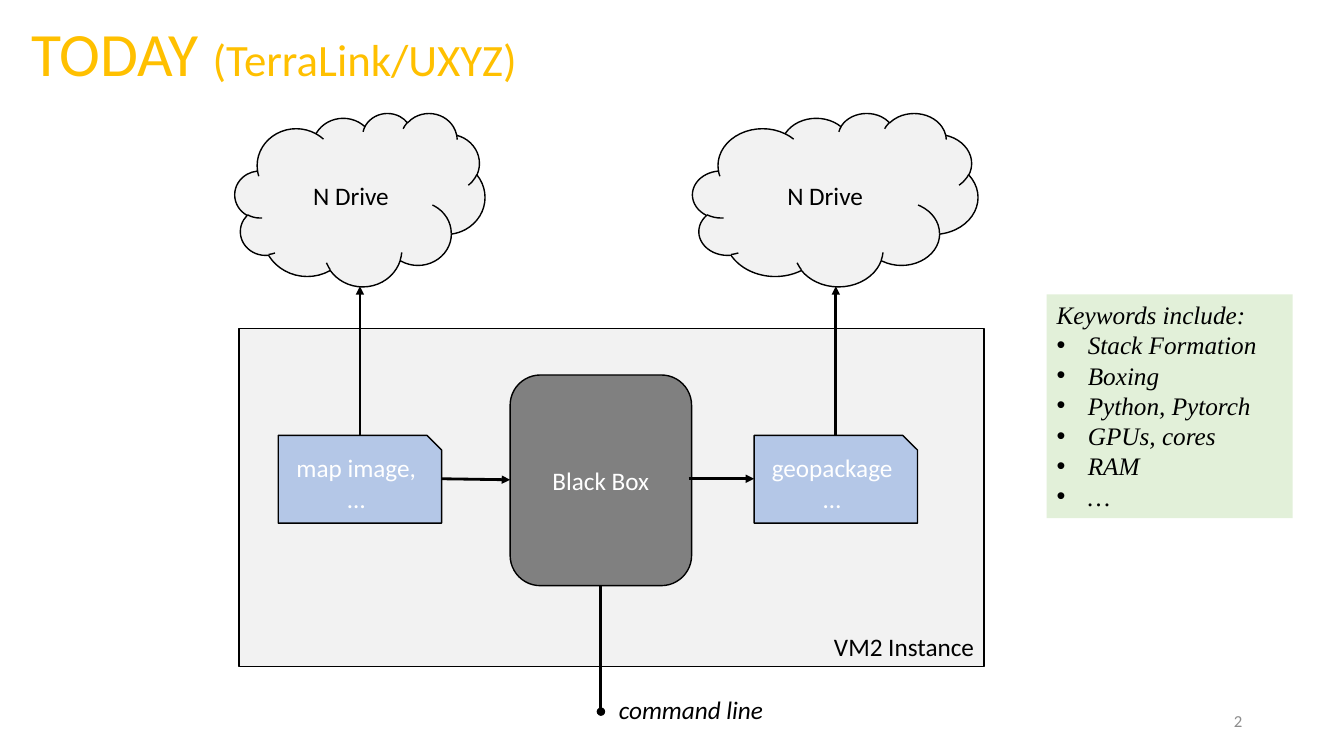
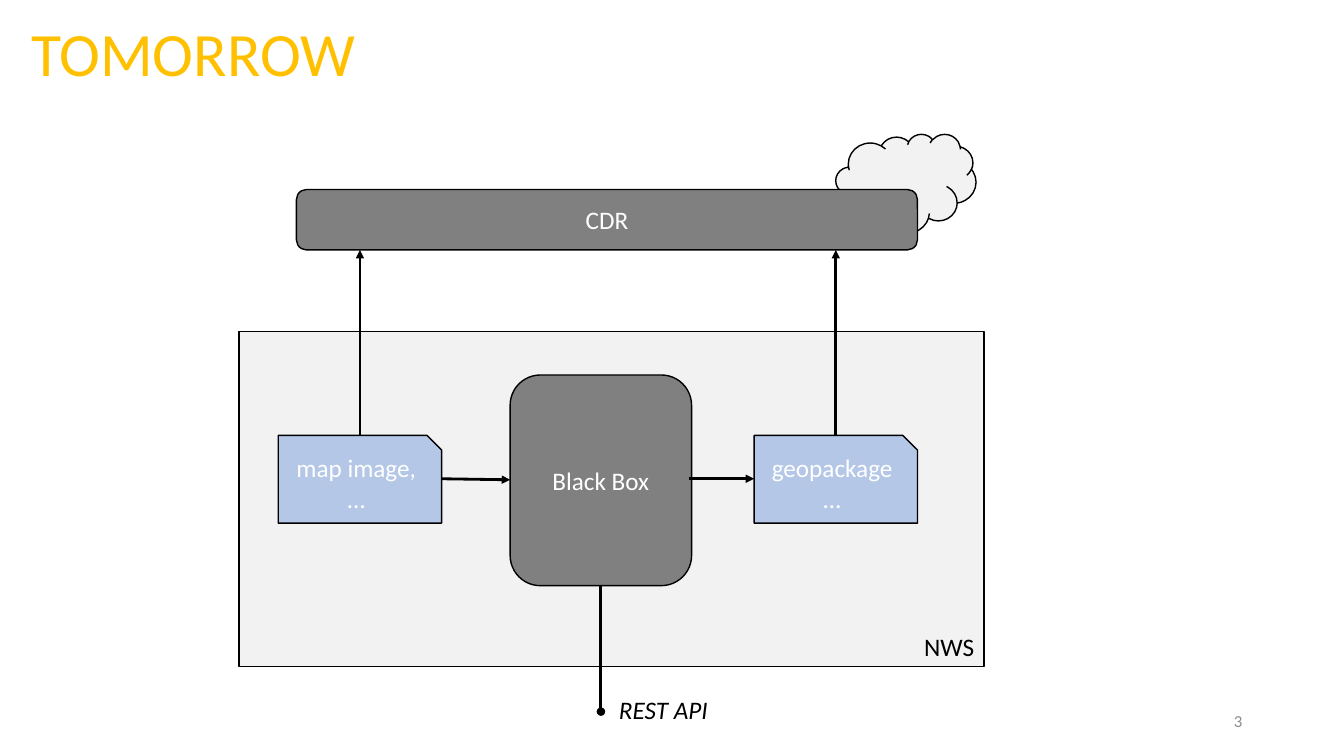
from lxml import etree
from pptx import Presentation
from pptx.dml.color import RGBColor
from pptx.enum.shapes import MSO_CONNECTOR, MSO_SHAPE
from pptx.enum.text import MSO_ANCHOR, MSO_AUTO_SIZE, PP_ALIGN
from pptx.oxml.ns import qn
from pptx.util import Inches, Pt

RECT = MSO_SHAPE.RECTANGLE
ROUND = MSO_SHAPE.ROUNDED_RECTANGLE
SNIP = MSO_SHAPE.SNIP_1_RECTANGLE
CLOUD = MSO_SHAPE.CLOUD
LINE = MSO_CONNECTOR.STRAIGHT
LEFT, MID, RIGHT = PP_ALIGN.LEFT, PP_ALIGN.CENTER, PP_ALIGN.RIGHT
TOP, CENTER, BOTTOM = MSO_ANCHOR.TOP, MSO_ANCHOR.MIDDLE, MSO_ANCHOR.BOTTOM
FIXED = MSO_AUTO_SIZE.NONE

HUES = {
    "ink": "000000",
    "paper": "FFFFFF",
    "pale": "F2F2F2",
    "dark": "808080",
    "blue": "B4C7E7",
    "green": "E2F0D9",
    "gold": "FFC000",
    "mute": "8C8C8C",
}
SANS, SERIF = "Calibri", "Times New Roman"


def hue(name):
    return RGBColor.from_string(HUES[name])


def style(frame, tint, size=18, face=SANS, slant=False, align=LEFT, anchor=TOP):
    frame.auto_size = FIXED
    frame.vertical_anchor = anchor
    for para in frame.paragraphs:
        para.alignment = align
        para.space_before = Pt(0)
        for run in para.runs:
            font = run.font
            font.name, font.size, font.italic = face, Pt(size), slant
            font.color.rgb = hue(tint)


def place(shape, box):
    shape.left, shape.top, shape.width, shape.height = map(Inches, box)


def block(slide, kind, box, fill, text="", tint="ink", align=MID, anchor=CENTER):
    shape = slide.shapes.add_shape(kind, *map(Inches, box))
    shape.shadow.inherit = False
    shape.fill.solid()
    shape.fill.fore_color.rgb = hue(fill)
    shape.line.color.rgb = hue("ink")
    shape.line.width = Pt(1)
    if text:
        shape.text_frame.text = text
        style(shape.text_frame, tint, align=align, anchor=anchor)


def label(slide, box, text, tint, wrap=True, **look):
    shape = slide.shapes.add_textbox(*map(Inches, box))
    shape.text_frame.word_wrap = wrap
    shape.text_frame.text = text
    style(shape.text_frame, tint, **look)


def link(slide, start, end, tip="triangle"):
    line = slide.shapes.add_connector(LINE, *map(Inches, start + end))
    line.line.color.rgb = hue("ink")
    line.line.width = Pt(2)
    props = line._element.spPr
    etree.SubElement(props.find(qn("a:ln")), qn("a:tailEnd"), type=tip)
    etree.SubElement(props, qn("a:effectLst"))


def heading(slide, text, note=""):
    title = slide.shapes.title
    place(title, (0.21, 0.1, 8, 0.84))
    title.text_frame.text = text
    if note:
        title.text_frame.paragraphs[0].add_run().text = note
    style(title.text_frame, "gold", 44)
    for run in title.text_frame.paragraphs[0].runs[1:]:
        run.font.size = Pt(32)


def flow(slide, box, host, port, goal):
    left, top, wide, high = box
    base = top + high
    block(slide, RECT, box, "pale", host, align=RIGHT, anchor=BOTTOM)
    row = base - 2.29
    mid = row + 0.43
    for gap, text in ((0.39, "map image,\n…"), (5.11, "geopackage …")):
        block(slide, SNIP, (left + gap, row, 1.62, 0.87), "blue", text, "paper")
        link(slide, (left + gap + 0.81, row), (left + gap + 0.81, goal))
    block(slide, ROUND, (left + 2.69, base - 2.89, 1.8, 2.09), "dark", "Black Box", "paper")
    link(slide, (left + 2.01, mid), (left + 2.69, mid + 0.01))
    link(slide, (left + 4.46, mid), (left + 5.11, mid))
    stem = left + 3.59
    link(slide, (stem, base - 0.8), (stem, base + 0.45), "oval")
    label(slide, (stem + 0.08, base + 0.23, 1.66, 0.4), port, "ink", wrap=False, slant=True)


def keys(slide, box, head, items):
    body = slide.placeholders[1]
    place(body, box)
    body.fill.solid()
    body.fill.fore_color.rgb = hue("green")
    frame = body.text_frame
    frame.text = "\n".join([head] + items)
    style(frame, "ink", face=SERIF, slant=True)
    for spot, para in enumerate(frame.paragraphs):
        props = para._p.get_or_add_pPr()
        inset = Inches(0.31) if spot else 0
        props.set("marL", str(inset))
        props.set("indent", str(-inset))
        if spot:
            etree.SubElement(props, qn("a:buFont"), typeface="Arial")
            etree.SubElement(props, qn("a:buChar"), char="•")
        else:
            etree.SubElement(props, qn("a:buNone"))


def number(slide, page):
    label(slide, (9.42, 6.95, 3, 0.4), str(page), "mute", size=12, align=RIGHT, anchor=CENTER)


def today(deck):
    slide = deck.slides.add_slide(deck.slide_layouts[1])
    heading(slide, "TODAY ", "(TerraLink/UXYZ)")
    for left, wide in ((2.33, 2.48), (6.87, 2.83)):
        block(slide, CLOUD, (left, 1.12, wide, 1.72), "pale", "N Drive")
    flow(slide, (2.37, 3.26, 7.39, 3.35), "VM2 Instance", "command line", 2.84)
    items = ["Stack Formation", "Boxing", "Python, Pytorch", "GPUs, cores", "RAM", "…"]
    keys(slide, (10.38, 2.92, 2.44, 2.22), "Keywords include:", items)
    number(slide, 2)


def later(deck):
    slide = deck.slides.add_slide(deck.slide_layouts[5])
    heading(slide, "TOMORROW")
    block(slide, CLOUD, (8.29, 1.33, 1.39, 0.98), "pale")
    flow(slide, (2.37, 3.29, 7.39, 3.32), "NWS", "REST API", 2.48)
    block(slide, ROUND, (2.94, 1.88, 6.16, 0.6), "dark", "CDR", "paper")
    number(slide, 3)


def main():
    deck = Presentation()
    deck.slide_width, deck.slide_height = Inches(13.33), Inches(7.5)
    today(deck)
    later(deck)
    deck.save("out.pptx")


if __name__ == "__main__":
    main()
